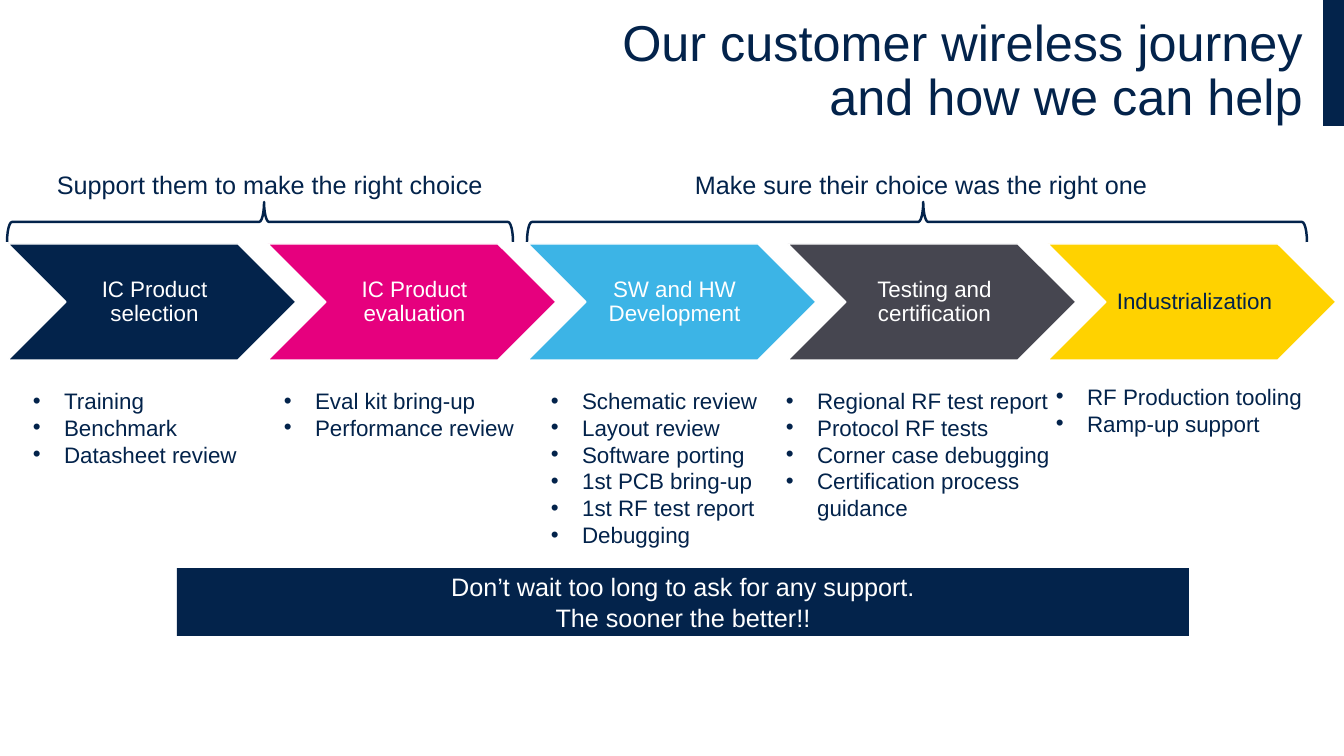
from dataclasses import dataclass

from lxml.etree import SubElement
from pptx import Presentation
from pptx.dml.color import RGBColor
from pptx.enum.shapes import MSO_SHAPE as Kind
from pptx.enum.text import MSO_ANCHOR as Anchor, MSO_AUTO_SIZE as Fit, PP_ALIGN as Align
from pptx.oxml.ns import qn
from pptx.util import Emu, Inches, Pt

WIDE, HIGH = 1344, 756
SCALE = 12192000 / WIDE
FONT = "Arial"
COLORS = {
    "navy": "03234B",
    "pink": "E6007E",
    "sky": "3CB4E6",
    "slate": "464650",
    "gold": "FFD200",
    "white": "FFFFFF",
}
STEP_X, STEP_Y, STEP_W, STEP_H, PITCH = 8, 244, 288, 116, 260


@dataclass
class Box:
    x: int
    y: int
    w: int
    h: int


@dataclass
class Step:
    label: str
    fill: str
    ink: str
    area: Box
    items: list[str]


@dataclass
class Phase:
    text: str
    area: Box
    mid: int
    span: int


STEPS = [
    Step("IC Product selection", "navy", "white", Box(23, 382, 227, 92),
         ["Training", "Benchmark", "Datasheet review"]),
    Step("IC Product evaluation", "pink", "white", Box(274, 382, 253, 95),
         ["Eval kit bring-up", "Performance review"]),
    Step("SW and HW Development", "sky", "white", Box(541, 382, 229, 173),
         ["Schematic review", "Layout review", "Software porting",
          "1st PCB bring-up", "1st RF test report", "Debugging"]),
    Step("Testing and certification", "slate", "white", Box(776, 382, 286, 173),
         ["Regional RF test report", "Protocol RF tests",
          "Corner case debugging", "Certification process guidance"]),
    Step("Industrialization", "gold", "navy", Box(1046, 378, 285, 65),
         ["RF Production tooling", "Ramp-up support"]),
]
PHASES = [
    Phase("Support them to make the right choice", Box(47, 164, 451, 40), 260, 506),
    Phase("Make sure their choice was the right one", Box(685, 164, 477, 40), 917, 780),
]


def px(n: float) -> Emu:
    return Emu(round(n * SCALE))


def place(box: Box) -> tuple:
    return px(box.x), px(box.y), px(box.w), px(box.h)


def rgb(name: str) -> RGBColor:
    return RGBColor.from_string(COLORS[name])


def add_run(para, text: str, size: int, ink: str) -> None:
    run = para.add_run()
    run.text = text
    font = run.font
    font.name, font.size, font.color.rgb = FONT, Pt(size), rgb(ink)


def add_bullet(para) -> None:
    props = para._p.get_or_add_pPr()
    props.set("marL", str(Inches(0.31)))
    props.set("indent", str(-Inches(0.31)))
    SubElement(props, qn("a:buFont"), typeface=FONT)
    SubElement(props, qn("a:buChar"), char="•")


def write(frame, lines: list[str], size: int, ink: str,
          align=Align.LEFT, bullets: bool = False) -> None:
    """Fill a text frame with one paragraph per line."""
    frame.word_wrap = True
    for i, line in enumerate(lines):
        para = frame.add_paragraph() if i else frame.paragraphs[0]
        if bullets:
            add_bullet(para)
        para.alignment = align
        add_run(para, line, size, ink)


def add_text(slide, box: Box, lines: list[str], size: int, bullets: bool = False) -> None:
    frame = slide.shapes.add_textbox(*place(box)).text_frame
    write(frame, lines, size, "navy", bullets=bullets)


def add_solid(slide, kind, box: Box, fill: str):
    shape = slide.shapes.add_shape(kind, *place(box))
    shape.shadow.inherit = False
    shape.fill.solid()
    shape.fill.fore_color.rgb = rgb(fill)
    shape.line.fill.background()
    shape.text_frame.vertical_anchor = Anchor.MIDDLE
    return shape


def add_title(slide) -> None:
    title = slide.shapes.title
    title.left, title.top, title.width, title.height = place(Box(8, 0, 1305, 144))
    frame = title.text_frame
    frame.auto_size, frame.vertical_anchor = Fit.NONE, Anchor.MIDDLE
    para = frame.paragraphs[0]
    para.alignment, para.line_spacing = Align.RIGHT, 0.9
    add_run(para, "Our customer wireless journey", 36, "navy")
    para.add_line_break()
    add_run(para, "and how we can help", 36, "navy")


def add_step(slide, i: int, step: Step) -> None:
    box = Box(STEP_X + i * PITCH, STEP_Y, STEP_W, STEP_H)
    arrow = add_solid(slide, Kind.CHEVRON, box, step.fill)
    arrow.line.color.rgb, arrow.line.width = rgb("white"), Pt(1)
    frame = arrow.text_frame
    frame.margin_left = Inches(0.07)
    frame.margin_right = frame.margin_top = frame.margin_bottom = Inches(0.02)
    write(frame, [step.label], 16, step.ink, Align.CENTER)
    frame.paragraphs[0].line_spacing = 0.9
    add_text(slide, step.area, step.items, 16, bullets=True)


def add_phase(slide, phase: Phase) -> None:
    """Draw a caption above a brace that is turned to point up."""
    thick, level = 40, 222
    box = Box(phase.mid - thick // 2, level - phase.span // 2, thick, phase.span)
    brace = slide.shapes.add_shape(Kind.LEFT_BRACE, *place(box))
    brace.shadow.inherit = False
    brace.rotation = 90
    brace.adjustments[0], brace.adjustments[1] = 0.125, 0.492
    brace.fill.background()
    brace.line.color.rgb, brace.line.width = rgb("navy"), Pt(1.75)
    add_text(slide, phase.area, [phase.text], 18)


def main() -> None:
    deck = Presentation()
    deck.slide_width, deck.slide_height = px(WIDE), px(HIGH)
    slide = deck.slides.add_slide(deck.slide_layouts[5])
    add_solid(slide, Kind.RECTANGLE, Box(1323, 0, 21, 126), "navy")
    add_title(slide)
    for i, step in enumerate(STEPS):
        add_step(slide, i, step)
    for phase in PHASES:
        add_phase(slide, phase)
    note = add_solid(slide, Kind.RECTANGLE, Box(177, 568, 1012, 68), "navy")
    write(note.text_frame,
          ["Don’t wait too long to ask for any support.", "The sooner the better!!"],
          18, "white", Align.CENTER)
    deck.save("out.pptx")


if __name__ == "__main__":
    main()
